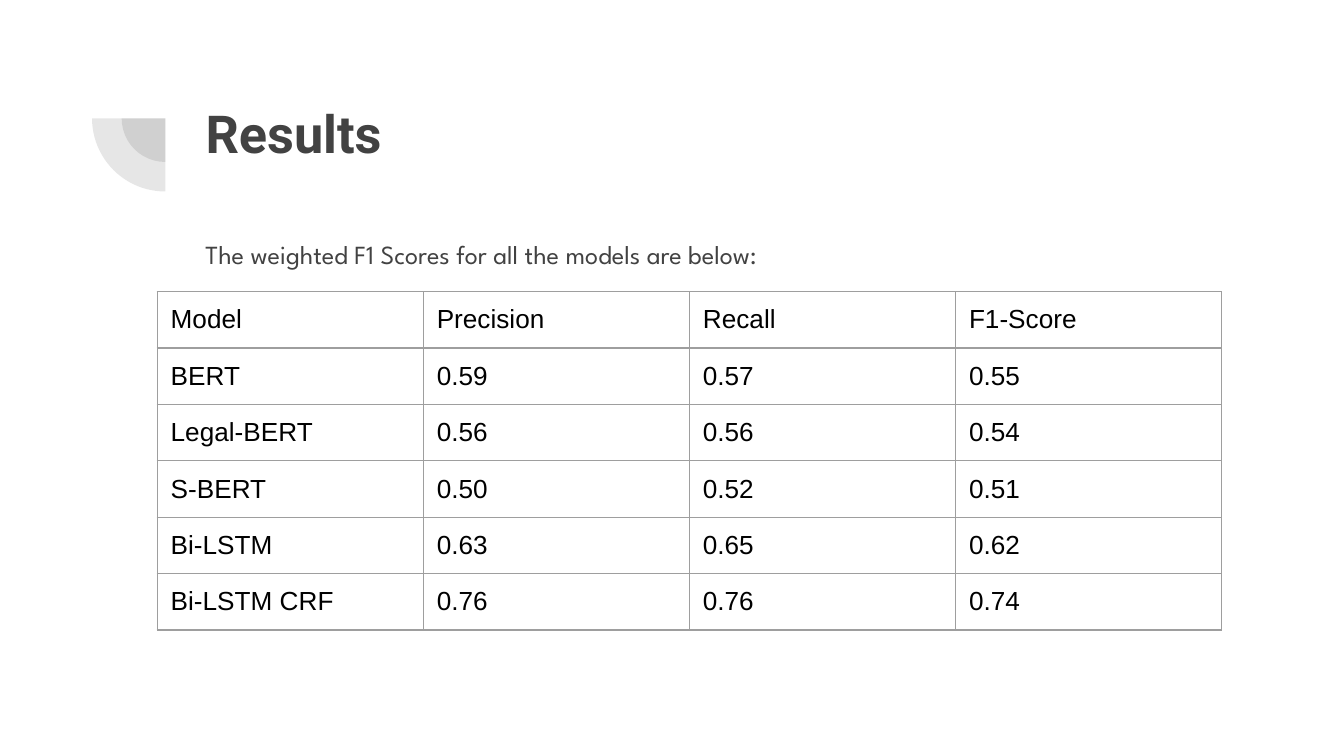
import pptx
import pptx.dml.color
import pptx.enum.shapes
import pptx.enum.text
import pptx.oxml
import pptx.oxml.ns
import pptx.util

TITLE = "Results"
INTRO = "The weighted F1 Scores for all the models are below:"
SCORES = [
    ("Model", "Precision", "Recall", "F1-Score"),
    ("BERT", "0.59", "0.57", "0.55"),
    ("Legal-BERT", "0.56", "0.56", "0.54"),
    ("S-BERT", "0.50", "0.52", "0.51"),
    ("Bi-LSTM", "0.63", "0.65", "0.62"),
    ("Bi-LSTM CRF", "0.76", "0.76", "0.74"),
]
DARK, BLACK, GRID = "424242", "000000", "9E9E9E"
WIDTH = 10
HEIGHT = WIDTH * 9 / 16
TEXT_LEFT, TEXT_WIDTH = 1.43, 7.69
TABLE_LEFT, TABLE_TOP, COL_WIDTH, ROW_HEIGHT = 1.17, 2.17, 1.98, 0.42
ARC_CENTER, ARC_SIZES = (1.23, 0.88), (0.65, 1.09)
INSET = pptx.util.Inches(0.1)


def rgb(color):
    return pptx.dml.color.RGBColor.from_string(color)


def inches(*values):
    return [pptx.util.Inches(v) for v in values]


def set_font(p, name, size, color, bold=False):
    p.font.name, p.font.size, p.font.bold = name, pptx.util.Pt(size), bold
    p.font.color.rgb = rgb(color)


def set_margins(box):
    """Give a text frame or table cell equal insets and top anchoring."""
    box.margin_left = box.margin_right = box.margin_top = box.margin_bottom = INSET
    box.vertical_anchor = pptx.enum.text.MSO_ANCHOR.TOP


def fill_text(sp, text, font, size, bold=False):
    tf = sp.text_frame
    tf.text = text
    tf.word_wrap = True
    tf.auto_size = pptx.enum.text.MSO_AUTO_SIZE.NONE
    set_margins(tf)
    p = tf.paragraphs[0]
    p.alignment = pptx.enum.text.PP_ALIGN.LEFT
    set_font(p, font, size, DARK, bold)
    return p


def add_quarter(s, size):
    """Add a translucent quarter disc below and left of the shared centre."""
    x, y = ARC_CENTER
    sp = s.shapes.add_shape(pptx.enum.shapes.MSO_SHAPE.PIE,
                            *inches(x - size / 2, y - size / 2, size, size))
    sp.adjustments[0], sp.adjustments[1] = 108, 162
    sp.rotation = 270
    sp.shadow.inherit = False
    sp.line.fill.background()
    sp.fill.solid()
    sp.fill.fore_color.rgb = rgb(DARK)
    color = sp.element.spPr.find(".//" + pptx.oxml.ns.qn("a:srgbClr"))
    color.append(pptx.oxml.parse_xml(
        f'<a:alpha {pptx.oxml.ns.nsdecls("a")} val="13000"/>'))


def add_borders(cell):
    for side in ("lnL", "lnR", "lnT", "lnB"):
        cell._tc.get_or_add_tcPr().append(pptx.oxml.parse_xml(
            f'<a:{side} {pptx.oxml.ns.nsdecls("a")} w="{pptx.util.Pt(0.75)}">'
            f'<a:solidFill><a:srgbClr val="{GRID}"/></a:solidFill></a:{side}>'))


def add_scores(s):
    rows, cols = len(SCORES), len(SCORES[0])
    table = s.shapes.add_table(rows, cols, *inches(
        TABLE_LEFT, TABLE_TOP, cols * COL_WIDTH, rows * ROW_HEIGHT)).table
    table.first_row = table.horz_banding = False
    for r, row in enumerate(SCORES):
        for c, text in enumerate(row):
            cell = table.cell(r, c)
            cell.text = text
            set_margins(cell)
            set_font(cell.text_frame.paragraphs[0], "Arial", 14, BLACK)
            add_borders(cell)
            cell.fill.background()


def main():
    prs = pptx.Presentation()
    prs.slide_width, prs.slide_height = inches(WIDTH, HEIGHT)
    s = prs.slides.add_slide(prs.slide_layouts[5])
    for size in ARC_SIZES:
        add_quarter(s, size)
    title = s.shapes.title
    title.left, title.top, title.width, title.height = inches(
        TEXT_LEFT, 0.65, TEXT_WIDTH, 1.09)
    fill_text(title, TITLE, "Roboto", 28, bold=True)
    intro = s.shapes.add_textbox(*inches(TEXT_LEFT, 1.64, TEXT_WIDTH, 3.57))
    fill_text(intro, INTRO, "League Spartan", 14).line_spacing = 1.15
    add_scores(s)
    prs.save("out.pptx")


if __name__ == "__main__":
    main()
